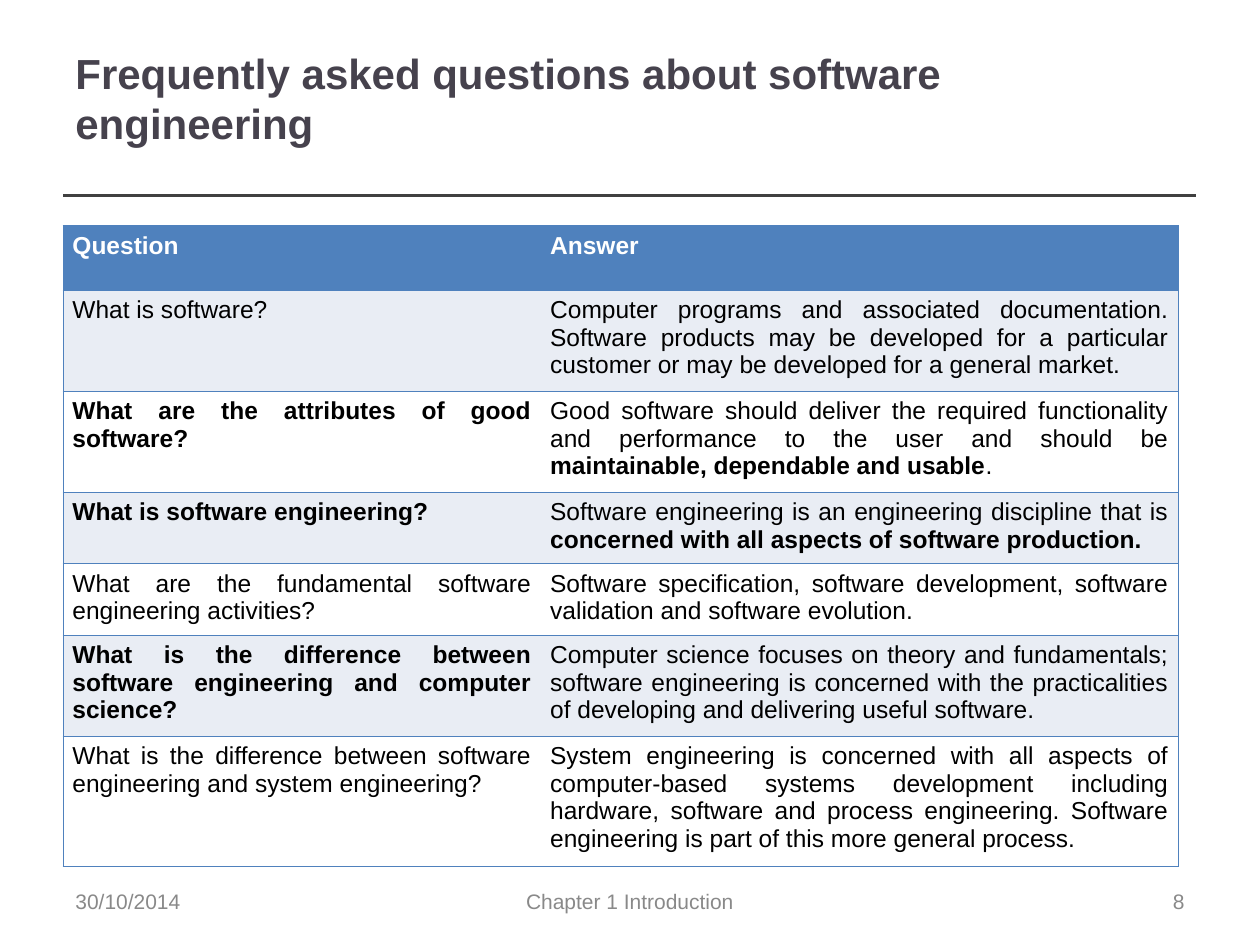
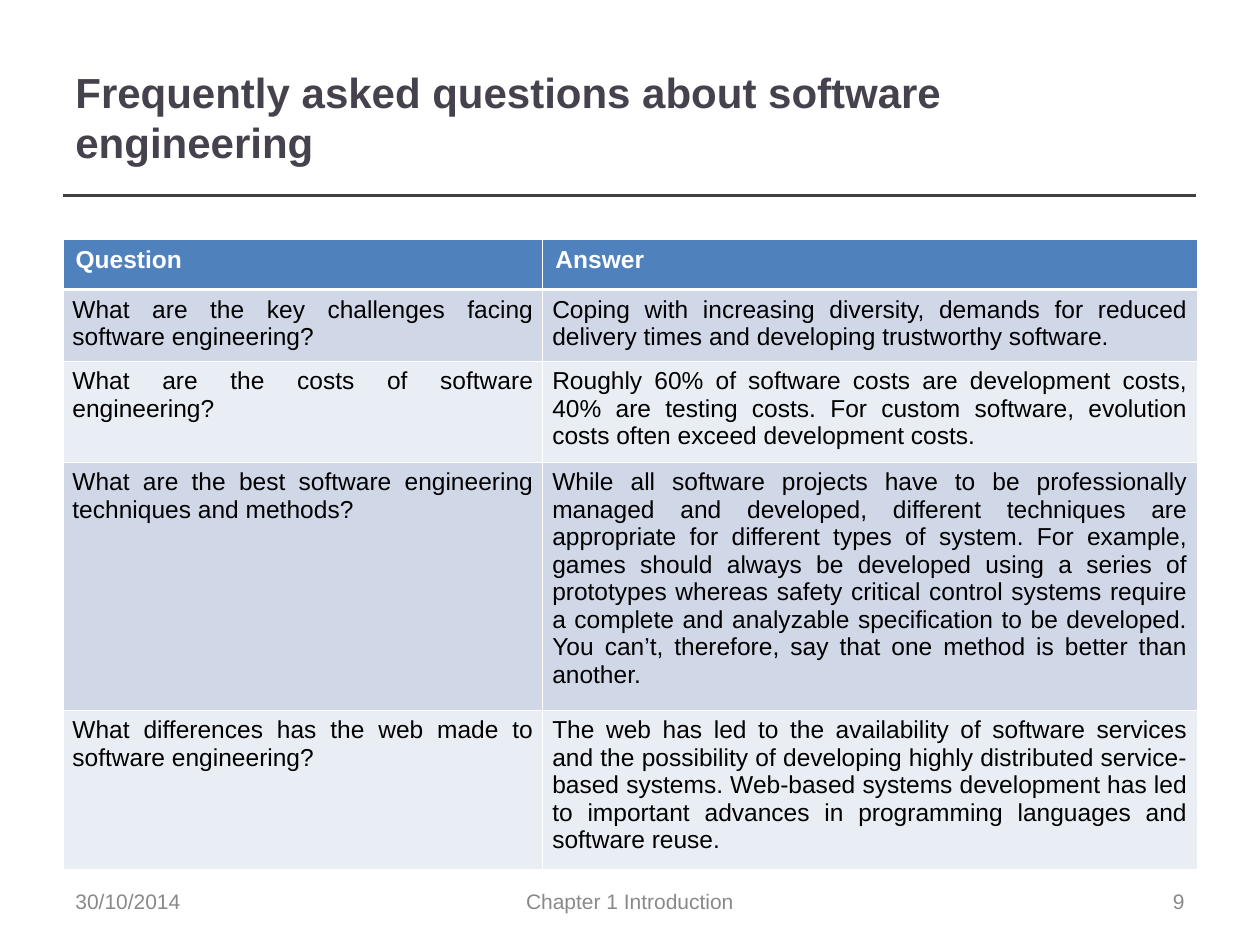
from lxml.etree import SubElement
from pptx import Presentation
from pptx.dml.color import RGBColor
from pptx.enum.shapes import MSO_CONNECTOR as CONN
from pptx.enum.text import MSO_ANCHOR as ANCHOR, PP_ALIGN as ALIGN
from pptx.oxml.ns import qn
from pptx.util import Pt

# Content: text between asterisks is bold
TITLE = "Frequently asked questions about software engineering"
DATE, CHAPTER = "30/10/2014", "Chapter 1 Introduction"
HEADER = ("*Question*", "*Answer*")

BASICS = [
    HEADER,
    ("What is software?",
     "Computer programs and associated documentation. Software products may be "
     "developed for a particular customer or may be developed for a general market."),
    ("*What are the attributes of good software?*",
     "Good software should deliver the required functionality and performance to "
     "the user and should be *maintainable, dependable and usable*."),
    ("*What is software engineering?*",
     "Software engineering is an engineering discipline that is "
     "*concerned with all aspects of software production.*"),
    ("What are the fundamental software engineering activities?",
     "Software specification, software development, software validation and "
     "software evolution."),
    ("*What is the difference between software engineering and computer science?*",
     "Computer science focuses on theory and fundamentals; software engineering is "
     "concerned with the practicalities of developing and delivering useful software."),
    ("What is the difference between software engineering and system engineering?",
     "System engineering is concerned with all aspects of computer-based systems "
     "development including hardware, software and process engineering. Software "
     "engineering is part of this more general process."),
]
PRACTICE = [
    HEADER,
    ("What are the key challenges facing software engineering?",
     "Coping with increasing diversity, demands for reduced delivery times and "
     "developing trustworthy software."),
    ("What are the costs of software engineering?",
     "Roughly 60% of software costs are development costs, 40% are testing costs. "
     "For custom software, evolution costs often exceed development costs."),
    ("What are the best software engineering techniques and methods?",
     "While all software projects have to be professionally managed and developed, "
     "different techniques are appropriate for different types of system. For example, "
     "games should always be developed using a series of prototypes whereas safety "
     "critical control systems require a complete and analyzable specification to be "
     "developed. You can’t, therefore, say that one method is better than another."),
    ("What differences has the web made to software engineering?",
     "The web has led to the availability of software services and the possibility of "
     "developing highly distributed service-based systems. Web-based systems "
     "development has led to important advances in programming languages and "
     "software reuse."),
]

# Shared style
FONT = "Arial"
BLUE, WHITE, BLACK = "4F81BD", "FFFFFF", "000000"
TITLE_COLOR, RULE_COLOR, FOOTER_COLOR = "46424D", "404040", "898989"
LEFT, RULE_Y, FOOTER_Y = 36, 111.6, 500.5
THIN, THICK = 0.45, 1.47

# Per slide: title box and its bottom inset, then the table
SLIDES = [
    dict(number=8, title=(605.5, 93), lift=28, rows=BASICS, top=129, cols=(273, 364.2),
         heights=(36.9, 56, 56, 39, 39, 56, 72.7), bands=("E9EDF4", WHITE),
         grid=BLUE, inner=None, header_line=THIN, header_inset=5.4,
         header_align=ALIGN.JUSTIFY),
    dict(number=9, title=(574.5, 90), lift=3.6, rows=PRACTICE, top=137, cols=(274.2, 373.8),
         heights=(28.5, 39, 56, 139.8, 89.2), bands=("D0D8E8", "E9EDF4"),
         grid=WHITE, inner=WHITE, header_line=THICK, header_inset=7.2,
         header_align=ALIGN.LEFT),
]


def rgb(color):
    return RGBColor.from_string(color)


def write(tf, text, size, color, align):
    p = tf.paragraphs[0]
    p.alignment = align
    for i, part in enumerate(text.split("*")):
        if part:
            r = p.add_run()
            r.text = part
            r.font.name, r.font.size, r.font.bold = FONT, Pt(size), i % 2 == 1
            r.font.color.rgb = rgb(color)


def add_text(s, x, y, w, h, text, size, color, align=ALIGN.LEFT, bottom=3.6):
    tf = s.shapes.add_textbox(Pt(x), Pt(y), Pt(w), Pt(h)).text_frame
    tf.word_wrap = True
    tf.vertical_anchor = ANCHOR.MIDDLE
    tf.margin_bottom = Pt(bottom)
    write(tf, text, size, color, align)


def add_rule(s, length):
    line = s.shapes.add_connector(CONN.STRAIGHT, Pt(LEFT), Pt(RULE_Y),
                                  Pt(LEFT + length), Pt(RULE_Y))
    line.line.color.rgb = rgb(RULE_COLOR)
    line.line.width = Pt(2)
    SubElement(line._element.spPr, qn("a:effectLst"))


def set_border(cell, side, color, width):
    ln = SubElement(cell._tc.get_or_add_tcPr(), qn("a:ln" + side), w=str(Pt(width)))
    if color:
        SubElement(SubElement(ln, qn("a:solidFill")), qn("a:srgbClr"), val=color)
    else:
        SubElement(ln, qn("a:noFill"))


def add_faq_table(s, d):
    rows, cols, heights = d["rows"], d["cols"], d["heights"]
    table = s.shapes.add_table(len(rows), len(cols), Pt(LEFT), Pt(d["top"]),
                               Pt(sum(cols)), Pt(sum(heights))).table
    table.first_row = table.horz_banding = False
    for column, width in zip(table.columns, cols):
        column.width = Pt(width)
    for i, (row, texts) in enumerate(zip(table.rows, rows)):
        row.height = Pt(heights[i])
        is_header = i == 0
        for j, (cell, text) in enumerate(zip(row.cells, texts)):
            # Borders come before the fill in the cell's XML
            set_border(cell, "L", d["grid"] if j == 0 else d["inner"], THIN)
            set_border(cell, "R", d["inner"] if j == 0 else d["grid"], THIN)
            set_border(cell, "T", d["grid"], d["header_line"] if i == 1 else THIN)
            set_border(cell, "B", d["grid"], d["header_line"] if is_header else THIN)
            cell.fill.solid()
            cell.fill.fore_color.rgb = rgb(BLUE if is_header else d["bands"][(i - 1) % 2])
            cell.margin_left = cell.margin_right = Pt(d["header_inset"] if is_header else 5.4)
            cell.margin_top = cell.margin_bottom = Pt(3.6)
            write(cell.text_frame, text, 14, WHITE if is_header else BLACK,
                  d["header_align"] if is_header else ALIGN.JUSTIFY)


def add_footer(s, number):
    for x, w, text, align in ((246, 228, CHAPTER, ALIGN.CENTER),
                              (LEFT, 168, DATE, ALIGN.LEFT),
                              (516, 168, str(number), ALIGN.RIGHT)):
        add_text(s, x, FOOTER_Y, w, 28.8, text, 12, FOOTER_COLOR, align)


def main():
    prs = Presentation()
    prs.slide_width, prs.slide_height = Pt(720), Pt(540)
    for d in SLIDES:
        s = prs.slides.add_slide(prs.slide_layouts[6])
        for length in (575.5, 647.5):
            add_rule(s, length)
        add_text(s, LEFT, 21.6, *d["title"], f"*{TITLE}*", 24, TITLE_COLOR, bottom=d["lift"])
        add_faq_table(s, d)
        add_footer(s, d["number"])
    prs.save("out.pptx")


if __name__ == "__main__":
    main()
